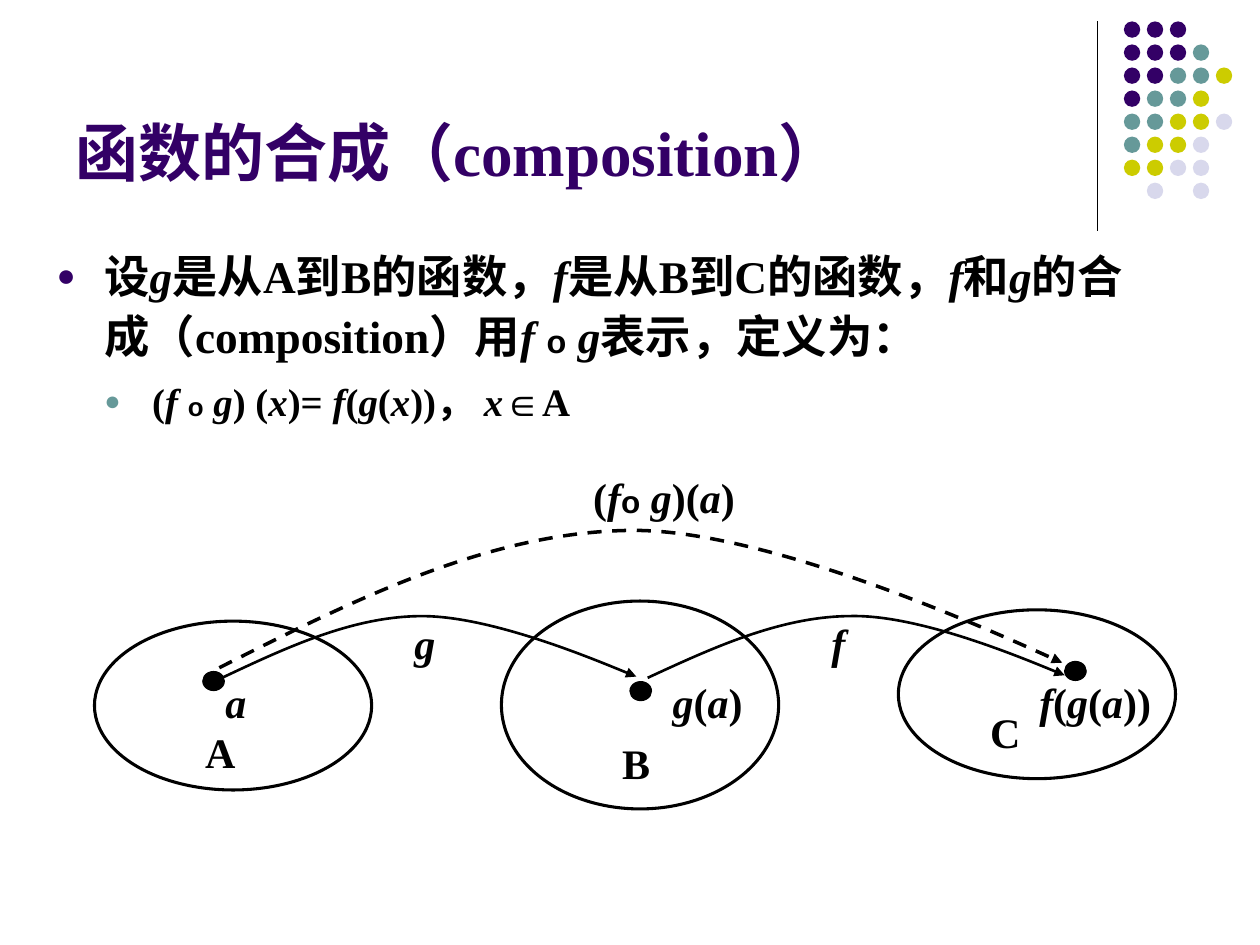
from itertools import groupby
from typing import NamedTuple

from lxml.etree import SubElement
from pptx import Presentation
from pptx.dml.color import RGBColor
from pptx.enum.dml import MSO_LINE_DASH_STYLE as DASH
from pptx.enum.shapes import MSO_CONNECTOR, MSO_SHAPE
from pptx.enum.text import MSO_ANCHOR, PP_ALIGN
from pptx.oxml.ns import qn
from pptx.util import Inches, Pt

BLACK, PURPLE, TEAL = "000000", "330066", "669999"
DOT_COLORS = {"P": PURPLE, "T": TEAL, "Y": "CCCC00", "L": "D8D8EC"}
DOT_ROWS = ["PPP", "PPPT", "PPTTY", "PTTY", "TTYYL", "TYYL", "YYLL", " L L"]
COMPOSE, MEMBER = "ο", "∈"


class Box(NamedTuple):
    x: float
    y: float
    w: float
    h: float


class Label(NamedTuple):
    text: str
    x: float
    y: float
    w: float


class Bullet(NamedTuple):
    text: str
    size: float
    ring_size: float
    indent: float
    before: float
    color: str


class Arrow(NamedTuple):
    points: list
    width: float
    dash: object


SETS = [Box(0.75, 4.93, 2.2, 1.34), Box(3.98, 4.77, 2.2, 1.65), Box(7.13, 4.84, 2.2, 1.34)]
ELEMENTS = [Box(1.62, 5.32, 0.15, 0.17), Box(8.46, 5.24, 0.15, 0.17), Box(5.01, 5.4, 0.15, 0.17)]
ARROWS = [
    Arrow([(1.74, 5.39), (2.27, 5.14), (2.8, 4.89), (3.35, 4.89),
           (3.91, 4.89), (5.05, 5.37), (5.05, 5.37)], 1.5, DASH.SOLID),
    Arrow([(5.14, 5.38), (5.68, 5.13), (6.21, 4.89), (6.76, 4.89),
           (7.31, 4.88), (8.45, 5.36), (8.45, 5.36)], 1.5, DASH.SOLID),
    Arrow([(1.74, 5.3), (2.81, 4.76), (3.89, 4.22), (5.01, 4.21),
           (6.12, 4.2), (8.43, 5.26), (8.43, 5.26)], 2, DASH.DASH),
]
LABELS = [
    Label("*a*", 1.69, 5.32, 0.47),
    Label("A", 1.53, 5.72, 0.47),
    Label("*g*(*a*)", 5.24, 5.32, 0.87),
    Label("B", 4.84, 5.8, 0.47),
    Label("C", 7.76, 5.56, 0.47),
    Label("*f*(*g*(*a*))", 8.15, 5.32, 1.26),
    Label("*g*", 3.19, 4.85, 0.87),
    Label("*f*", 6.5, 4.85, 0.87),
    Label("(*f*ο *g*)(*a*)", 4.61, 3.69, 1.65),
]
BULLETS = [
    Bullet("设*g*是从A到B的函数，*f*是从B到C的函数，*f*和*g*的合成（composition）用*f *ο *g*表示，定义为：",
           25.9, 18.5, 0.38, 0, PURPLE),
    Bullet("(*f *ο *g*) (*x*)=* f*(*g*(*x*))， *x*∈A", 22.2, 14.8, 0.76, 6, TEAL),
]


def rgb(value: str) -> RGBColor:
    return RGBColor.from_string(value)


def inches(box: Box) -> list:
    return [Inches(v) for v in box]


def add_math(p, text: str, size: float, ring_size: float = 18, color: str = BLACK) -> None:
    """Add text whose *starred* parts are italic and whose symbols use Arial."""
    for i, part in enumerate(text.split("*")):
        for symbol, chars in groupby(part, lambda c: c if c in (COMPOSE, MEMBER) else ""):
            r = p.add_run()
            r.text = "".join(chars)
            fmt = {"name": "Arial" if symbol else "Times New Roman",
                   "size": Pt(ring_size if symbol == COMPOSE else size),
                   "bold": True, "italic": i % 2 == 1}
            for key, value in fmt.items():
                setattr(r.font, key, value)
            r.font.color.rgb = rgb(color)


def add_text_frame(s, box: Box, anchor=MSO_ANCHOR.TOP):
    tf = s.shapes.add_textbox(*inches(box)).text_frame
    tf.word_wrap = True
    tf.vertical_anchor = anchor
    return tf


def add_bullet(p, bullet: Bullet) -> None:
    ppr = p._p.get_or_add_pPr()
    ppr.set("marL", str(Inches(bullet.indent)))
    ppr.set("indent", str(-Inches(0.38)))
    SubElement(SubElement(ppr, qn("a:buClr")), qn("a:srgbClr"), val=bullet.color)
    SubElement(ppr, qn("a:buSzPct"), val="70000")
    SubElement(ppr, qn("a:buFont"), typeface="Arial")
    SubElement(ppr, qn("a:buChar"), char="●")
    p.line_spacing = 1.1
    p.space_before = Pt(bullet.before)
    add_math(p, bullet.text, bullet.size, bullet.ring_size)


def add_oval(s, box: Box, fill: str = "", line: float = 0, kind=MSO_SHAPE.OVAL):
    sp = s.shapes.add_shape(kind, *inches(box))
    sp.shadow.inherit = False
    if fill:
        sp.fill.solid()
        sp.fill.fore_color.rgb = rgb(fill)
    else:
        sp.fill.background()
    if line:
        sp.line.color.rgb = rgb(BLACK)
        sp.line.width = Pt(line)
    else:
        sp.line.fill.background()
    return sp


def add_arrow(s, arrow: Arrow) -> None:
    """Draw a Bezier arrow: each three points after the first make one curve."""
    start, *rest = [(Inches(x), Inches(y)) for x, y in arrow.points]
    builder = s.shapes.build_freeform(*start)
    builder.add_line_segments(rest, close=False)
    sp = builder.convert_to_shape()
    sp.shadow.inherit = False
    sp.fill.background()
    sp.line.color.rgb = rgb(BLACK)
    sp.line.width = Pt(arrow.width)
    sp.line.dash_style = arrow.dash
    segments = list(sp._element.iter(qn("a:lnTo")))
    for i in range(0, len(segments), 3):
        curve = SubElement(segments[i].getparent(), qn("a:cubicBezTo"))
        for segment in segments[i:i + 3]:
            curve.append(segment[0])
            segment.getparent().remove(segment)
    SubElement(sp.line._get_or_add_ln(), qn("a:tailEnd"), type="triangle")


def add_decoration(s) -> None:
    rule = s.shapes.add_connector(MSO_CONNECTOR.STRAIGHT, Inches(8.71), Inches(0.17),
                                  Inches(8.71), Inches(1.83))
    rule.line.color.rgb = rgb(BLACK)
    rule.line.width = Pt(0.75)
    SubElement(rule._element.spPr, qn("a:effectLst"))
    for row, codes in enumerate(DOT_ROWS):
        for col, code in enumerate(codes):
            if code in DOT_COLORS:
                add_oval(s, Box(8.92 + col * 0.73 / 4, 0.17 + row * 1.28 / 7, 0.13, 0.13),
                         DOT_COLORS[code])


def main() -> None:
    prs = Presentation()
    prs.slide_width, prs.slide_height = Inches(10), Inches(7.5)
    s = prs.slides.add_slide(prs.slide_layouts[6])
    add_decoration(s)
    title = add_text_frame(s, Box(0.5, 0.13, 8.25, 1.42), MSO_ANCHOR.BOTTOM)
    add_math(title.paragraphs[0], "函数的合成（composition）", 36, color=PURPLE)
    body = add_text_frame(s, Box(0.35, 1.88, 8.98, 2.03))
    for i, bullet in enumerate(BULLETS):
        add_bullet(body.add_paragraph() if i else body.paragraphs[0], bullet)
    for box in SETS:
        add_oval(s, box, line=1.75)
    for arrow in ARROWS:
        add_arrow(s, arrow)
    for box in ELEMENTS:
        add_oval(s, box, BLACK, 0.75, MSO_SHAPE.FLOWCHART_CONNECTOR).rotation = 90
    for label in LABELS:
        p = add_text_frame(s, Box(label.x, label.y, label.w, 0.55)).paragraphs[0]
        p.alignment = PP_ALIGN.JUSTIFY
        add_math(p, label.text, 24)
    prs.save("out.pptx")


if __name__ == "__main__":
    main()
